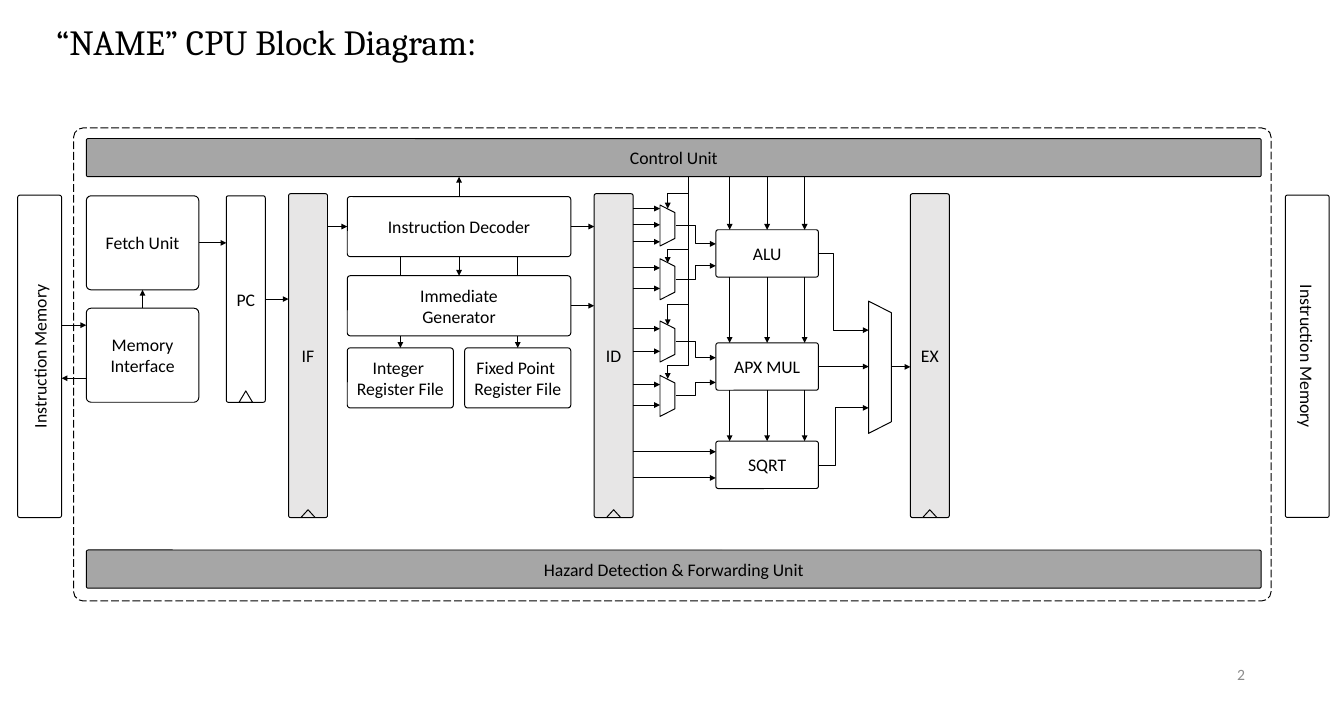
from dataclasses import dataclass

from lxml import etree
from pptx import Presentation
from pptx.dml.color import RGBColor
from pptx.enum.dml import MSO_LINE
from pptx.enum.shapes import MSO_CONNECTOR, MSO_SHAPE
from pptx.enum.text import MSO_ANCHOR, PP_ALIGN
from pptx.oxml.ns import qn
from pptx.util import Inches, Pt

ROUND = MSO_SHAPE.ROUNDED_RECTANGLE
PEAK = MSO_SHAPE.ISOSCELES_TRIANGLE
TRAP = MSO_SHAPE.TRAPEZOID
STRAIGHT, ELBOW = MSO_CONNECTOR.STRAIGHT, MSO_CONNECTOR.ELBOW
DASH = MSO_LINE.LONG_DASH
MIDDLE, UPPER = MSO_ANCHOR.MIDDLE, MSO_ANCHOR.TOP
CENTER, RIGHT = PP_ALIGN.CENTER, PP_ALIGN.RIGHT
TOP, LEFT, BOTTOM, EAST = 0, 1, 2, 3
COLS, ROWS = 19, 10
CELL = Inches(1)


@dataclass(frozen=True)
class Theme:
    ink: RGBColor = RGBColor(0, 0, 0)
    white: RGBColor = RGBColor(255, 255, 255)
    bar: RGBColor = RGBColor(0xA6, 0xA6, 0xA6)
    latch: RGBColor = RGBColor(0xE7, 0xE6, 0xE6)
    pale: RGBColor = RGBColor(0x8C, 0x8C, 0x8C)
    head: str = "Cambria"
    body: str = "Calibri"
    big: int = 36
    text: int = 18
    small: int = 16
    line: int = 1
    curve: float = 0.05
    slope: float = 0.51


THEME = Theme()


def write(frame, text, size, font, color, align, anchor=MIDDLE):
    frame.vertical_anchor = anchor
    for n, row in enumerate(text.split("\n")):
        para = frame.add_paragraph() if n else frame.paragraphs[0]
        para.alignment = align
        run = para.add_run()
        run.text = row
        run.font.size, run.font.name = Pt(size), font
        run.font.color.rgb = color


class Pane:
    def __init__(self, slide, box):
        self.shapes = slide.shapes
        self.x, self.y, self.w, self.h = box

    def spot(self, x, y):
        return round((self.x + x) * CELL), round((self.y + y) * CELL)

    def block(self, x, y, w, h, text="", fill=None, kind=ROUND, adj=THEME.curve, turn=0):
        if turn:
            x, y, w, h = x + (w - h) / 2, y + (h - w) / 2, h, w
        shape = self.shapes.add_shape(kind, *self.spot(x, y), round(w * CELL), round(h * CELL))
        shape.rotation = turn
        shape.shadow.inherit = False
        if kind != PEAK:
            shape.adjustments[0] = adj
        if fill is None:
            shape.fill.background()
        else:
            shape.fill.solid()
            shape.fill.fore_color.rgb = fill
        shape.line.color.rgb, shape.line.width = THEME.ink, Pt(THEME.line)
        if text:
            write(shape.text_frame, text, THEME.text, THEME.body, THEME.ink, CENTER)
        return shape

    def mux(self, x, y, w, h):
        self.block(x, y, w, h, fill=THEME.white, kind=TRAP, adj=THEME.slope, turn=90)

    def latch(self, x, y, w, h, text, fill=None, clock=(0.2, 0.11)):
        wide, tall = clock
        self.block(x, y, w, h, text, fill)
        self.block(x + (w - wide) / 2, y + h - tall, wide, tall, fill=fill, kind=PEAK)

    def wire(self, start, end, joint=None, goal=None, kind=STRAIGHT):
        line = self.shapes.add_connector(kind, *self.spot(*start), *self.spot(*end))
        if joint:
            line.begin_connect(*joint)
        if goal:
            line.end_connect(*goal)
        line.line.color.rgb, line.line.width = THEME.ink, Pt(THEME.line)
        props = line._element.spPr
        etree.SubElement(props.find(qn("a:ln")), qn("a:tailEnd"), type="triangle")
        etree.SubElement(props, qn("a:effectLst"))
        return props

    def bend(self, start, end, via):
        props = self.wire(start, end, kind=ELBOW)
        self.shift(props, (via - start[0]) / (end[0] - start[0]))

    def drop(self, start, end, via):
        mid = [(a + b) / 2 for a, b in zip(start, end)]
        sign = 1 if end[0] < start[0] else -1
        ends = [(mid[0] + sign * (y - mid[1]), mid[1] - sign * (x - mid[0])) for x, y in (start, end)]
        props = self.wire(*ends, kind=ELBOW)
        props.find(qn("a:xfrm")).set("rot", str((180 - 90 * sign) * 60000))
        self.shift(props, (via - start[1]) / (end[1] - start[1]))

    def corner(self, start, end):
        props = self.wire(start, end, kind=ELBOW)
        props.find(qn("a:prstGeom")).set("prst", "bentConnector2")

    def shift(self, props, share):
        guides = props.find(qn("a:prstGeom")).find(qn("a:avLst"))
        etree.SubElement(guides, qn("a:gd"), name="adj1", fmla=f"val {round(share * 100000)}")


def heading(slide, box):
    pane = Pane(slide, box)
    title = slide.shapes.title
    title.left, title.top = pane.spot(0, 0)
    title.width, title.height = round(pane.w * CELL), round(pane.h * CELL)
    title.text_frame.word_wrap = False
    write(title.text_frame, "“NAME” CPU Block Diagram:", THEME.big, THEME.head, THEME.ink, CENTER, UPPER)


def footer(slide, box):
    pane = Pane(slide, box)
    label = slide.shapes.add_textbox(*pane.spot(0, 0), round(pane.w * CELL), round(pane.h * CELL))
    label.text_frame.word_wrap = True
    write(label.text_frame, "2", THEME.small, THEME.body, THEME.pale, RIGHT)


def shell(slide, box):
    pane = Pane(slide, box)
    edge = pane.block(0, 0, pane.w, pane.h, adj=0.02)
    edge.line.dash_style = DASH
    for y, text in ((0.15, "Control Unit"), (5.97, "Hazard Detection & Forwarding Unit")):
        pane.block(0.18, y, 16.61, 0.54, text, THEME.bar)
    for x, turn in ((-0.79, 270), (17.13, 90)):
        pane.block(x, 0.95, 0.62, 4.56, "Instruction Memory", turn=turn)


def fetch(slide, box):
    pane = Pane(slide, box)
    wide, tall, top, low, count = 1.59, 1.33, 0.27, 1.86, 1.98
    unit = pane.block(0, top, wide, tall, "Fetch Unit")
    store = pane.block(0, low, wide, tall, "Memory Interface")
    pane.latch(count, top, 0.55, 2.92, "PC", clock=(0.19, 0.16))
    mid = top + tall / 2
    pane.wire((-0.35, 2.1), (0, 2.1))
    pane.wire((0, 2.85), (-0.35, 2.85))
    pane.wire((wide, mid), (count, mid), (unit, EAST))
    pane.wire((wide / 2, low), (wide / 2, top + tall), (store, TOP), (unit, BOTTOM))
    pc = pane.shapes[-6]
    pane.wire((pane.w, 1.73), (2.86, 1.73), (pc, EAST))


def decode(slide, box):
    pane = Pane(slide, box)
    left, wide, tall, top, low, base = 0.83, 3.16, 0.85, 0.28, 1.4, 2.42
    mid, half = left + wide / 2, 1.5
    pane.latch(0, 0.24, 0.55, 4.58, "IF", THEME.latch)
    files = ((left, "Integer \nRegister File"), (left + wide - half, "Fixed Point \nRegister File"))
    for x, text in files:
        pane.block(x, base, half, tall, text)
        pane.drop((mid, top + tall), (x + half / 2, base), 0.98)
    unit = pane.block(left, top, wide, tall, "Instruction Decoder", THEME.white)
    maker = pane.block(left, low, wide, tall, "Immediate\nGenerator", THEME.white)
    for part, y in ((unit, top + tall / 2), (maker, low + tall / 2)):
        pane.wire((left + wide, y), (pane.w, y), (part, EAST))
    pane.wire((0.55, top + tall / 2), (left, top + tall / 2), goal=(unit, LEFT))
    pane.wire((mid, top), (mid, 0), (unit, TOP))
    pane.wire((mid, top + tall), (mid, low), (unit, BOTTOM), (maker, TOP))


def compute(slide, box):
    pane = Pane(slide, box)
    gate, port, left, wide, tall, join = 0.55, 0.93, 1.72, 1.45, 0.67, 3.88
    pane.latch(0, 0.24, gate, 4.58, "ID", THEME.latch)
    pane.latch(4.47, 0.24, gate, 4.58, "EX", THEME.latch)
    pane.bend((left, 1.09), (join, 2.17), 3.38)
    pane.bend((left, 4.08), (join, 3.27), 3.41)
    for y, out, goal in ((0.4, 0.69, 0.95), (1.16, 1.45, 1.26), (2.04, 2.33, 2.56), (2.81, 3.09, 2.91)):
        pane.mux(port, y, 0.21, 0.58)
        pane.bend((1.15, out), (left, goal), 1.43)
    pane.mux(join, 1.76, 0.32, 1.87)
    bus, pin = 1.33, 1.04
    pane.drop((bus, 0), (pin, 2.86), 2.67)
    for y, end in ((0.24, 0.45), (1.03, 1.22), (1.81, 2.1)):
        pane.corner((bus, y), (pin, end))
    for y in (0.45, 0.68, 0.92, 1.29, 1.58, 2.15, 2.47, 2.94, 3.23):
        pane.wire((gate, y), (port, y))
    for y in (3.89, 4.26):
        pane.wire((gate, y), (left, y))
    mid, last, floor = left + wide / 2, None, 0
    for y, text in ((0.75, "ALU"), (2.35, "APX MUL"), (3.74, "SQRT")):
        unit = pane.block(left, y, wide, tall, text, THEME.white)
        for x in (mid - 0.53, mid + 0.53):
            pane.wire((x, floor), (x, y))
        pane.wire((mid, floor), (mid, y), last and (last, BOTTOM), (unit, TOP))
        if text == "APX MUL":
            pane.wire((left + wide, y + tall / 2), (join, y + tall / 2), (unit, EAST))
        last, floor = unit, y + tall
    pane.wire((4.2, 2.69), (4.47, 2.69))


def main():
    deck = Presentation()
    deck.slide_width, deck.slide_height = COLS * CELL, ROWS * CELL
    slide = deck.slides.add_slide(deck.slide_layouts[5])
    heading(slide, (0.31, 0.24, 6.91, 0.71))
    footer(slide, (13.42, 9.27, 4.28, 0.53))
    shell(slide, (1.04, 1.81, 16.93, 6.69))
    fetch(slide, (1.22, 2.5, 2.53, 4.82))
    decode(slide, (4.08, 2.5, 4.32, 4.82))
    compute(slide, (8.4, 2.5, 5.02, 4.82))
    deck.save("out.pptx")


if __name__ == "__main__":
    main()
